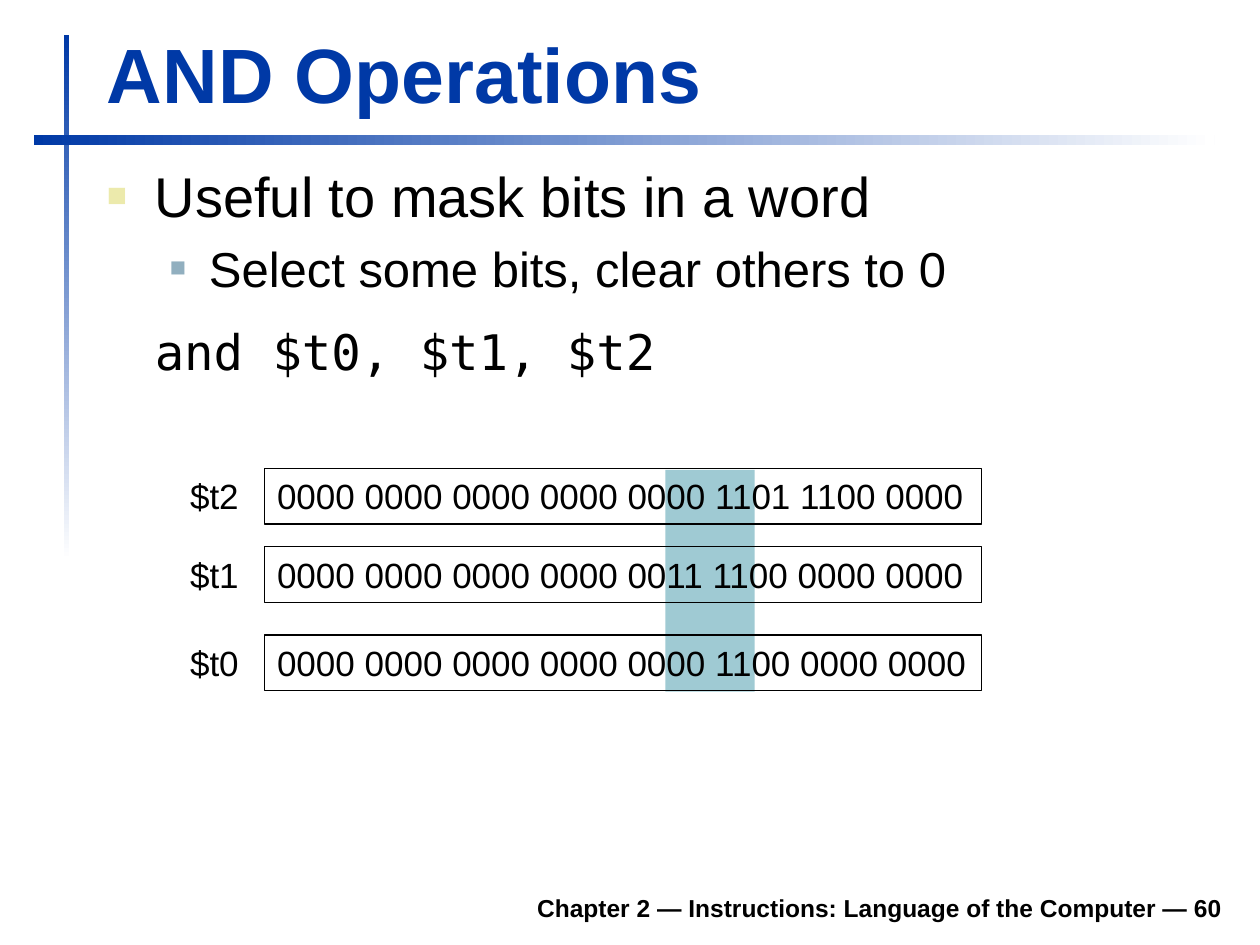
"""Build the slide on AND operations with its masked register rows."""
import pptx
import pptx.dml.color
import pptx.enum.shapes
import pptx.enum.text
import pptx.util
from lxml import etree

Inches = pptx.util.Inches
Pt = pptx.util.Pt
ALIGN = pptx.enum.text.PP_ALIGN
ANCHOR = pptx.enum.text.MSO_ANCHOR
FIT = pptx.enum.text.MSO_AUTO_SIZE.SHAPE_TO_FIT_TEXT
RECTANGLE = pptx.enum.shapes.MSO_SHAPE.RECTANGLE
NAMESPACE = "{http://schemas.openxmlformats.org/drawingml/2006/main}"


def color(value):
    return pptx.dml.color.RGBColor.from_string(value)


def write(para, text, size, tint="000000", bold=False, font="Arial"):
    span = para.add_run()
    span.text = text
    span.font.size = Pt(size)
    span.font.name = font
    span.font.bold = bold
    span.font.color.rgb = color(tint)


deck = pptx.Presentation()
deck.slide_width, deck.slide_height = Inches(10), Inches(7.5)
page = deck.slides.add_slide(deck.slide_layouts[6])
shapes = page.shapes

for left, top, width, height, angle in [
    (0.51, 0.28, 0.04, 4.17, 270),
    (0.27, 1.07, 9.37, 0.08, 0),
]:
    bar = shapes.add_shape(RECTANGLE, Inches(left), Inches(top), Inches(width), Inches(height))
    bar.shadow.inherit = False
    bar.line.fill.background()
    bar.fill.gradient()
    bar.fill.gradient_angle = angle
    for stop, tint in zip(bar.fill.gradient_stops, ["0039A6", "FFFFFF"]):
        stop.color.rgb = color(tint)

footer = shapes.add_textbox(Inches(1.85), Inches(6.98), Inches(7.95), Inches(0.39))
footer.text_frame.word_wrap = True
footer.text_frame.vertical_anchor = ANCHOR.BOTTOM
para = footer.text_frame.paragraphs[0]
para.alignment = ALIGN.RIGHT
write(para, "Chapter 2 — Instructions: Language of the Computer — 60", 14, bold=True)

mask = shapes.add_shape(RECTANGLE, Inches(5.28), Inches(3.73), Inches(0.71), Inches(1.76))
mask.shadow.inherit = False
mask.line.fill.background()
mask.fill.solid()
mask.fill.fore_color.rgb = color("9FCAD3")

title = shapes.add_textbox(Inches(0.75), Inches(0.16), Inches(9.03), Inches(0.83))
title.text_frame.word_wrap = True
title.text_frame.vertical_anchor = ANCHOR.BOTTOM
write(title.text_frame.paragraphs[0], "AND Operations", 44, "0039A6", True)

body = shapes.add_textbox(Inches(0.75), Inches(1.23), Inches(9.05), Inches(2.27))
body.text_frame.word_wrap = True
for index, (text, size, font, level, margin, indent, before, after, bullet) in enumerate([
    ("Useful to mask bits in a word", 32, "Arial", 0, 0.38, -0.38, 0.2, 0, ("ECEAAC", 60)),
    ("Select some bits, clear others to 0", 28, "Arial", 1, 0.81, -0.31, 0.2, 0, ("91AFBF", 55)),
    ("and $t0, $t1, $t2", 28, "DejaVu Sans Mono", 0, 0.38, 0, 0.5, 0.3, None),
]):
    para = body.text_frame.add_paragraph() if index else body.text_frame.paragraphs[0]
    para.level = level
    para.space_before = Pt(size * before)
    para.space_after = Pt(size * after)
    settings = para._p.get_or_add_pPr()
    settings.set("marL", str(Inches(margin)))
    settings.set("indent", str(Inches(indent)))
    if bullet:
        tint, percent = bullet
        holder = etree.SubElement(settings, NAMESPACE + "buClr")
        etree.SubElement(holder, NAMESPACE + "srgbClr", val=tint)
        etree.SubElement(settings, NAMESPACE + "buSzPct", val=str(percent * 1000))
        etree.SubElement(settings, NAMESPACE + "buFont", typeface="Arial")
        etree.SubElement(settings, NAMESPACE + "buChar", char="■")
    write(para, text, size, font=font)

for register, top, bits in [
    ("$t2", 3.72, "0000 0000 0000 0000 0000 1101 1100 0000"),
    ("$t1", 4.34, "0000 0000 0000 0000 0011 1100 0000 0000"),
    ("$t0", 5.04, "0000 0000 0000 0000 0000 1100 0000 0000"),
]:
    word = shapes.add_shape(RECTANGLE, Inches(2.1), Inches(top), Inches(5.69), Inches(0.44))
    word.shadow.inherit = False
    word.fill.background()
    word.line.color.rgb = color("000000")
    word.line.width = Pt(0.75)
    label = shapes.add_textbox(Inches(1.41), Inches(top), Inches(0.59), Inches(0.43))
    for box, text in [(word, bits), (label, register)]:
        box.text_frame.word_wrap = False
        box.text_frame.auto_size = FIT
        box.text_frame.vertical_anchor = ANCHOR.TOP
        para = box.text_frame.paragraphs[0]
        para.alignment = ALIGN.LEFT
        write(para, text, 20)

deck.save("out.pptx")
